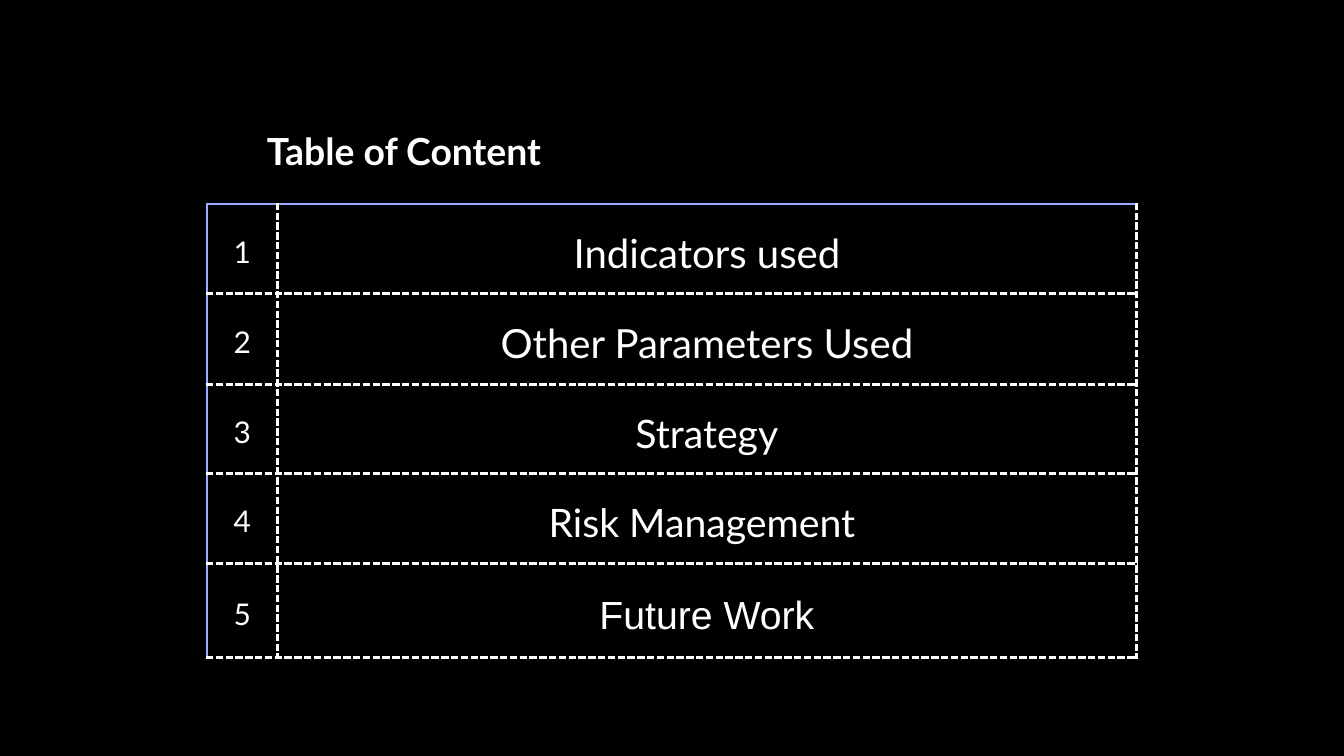
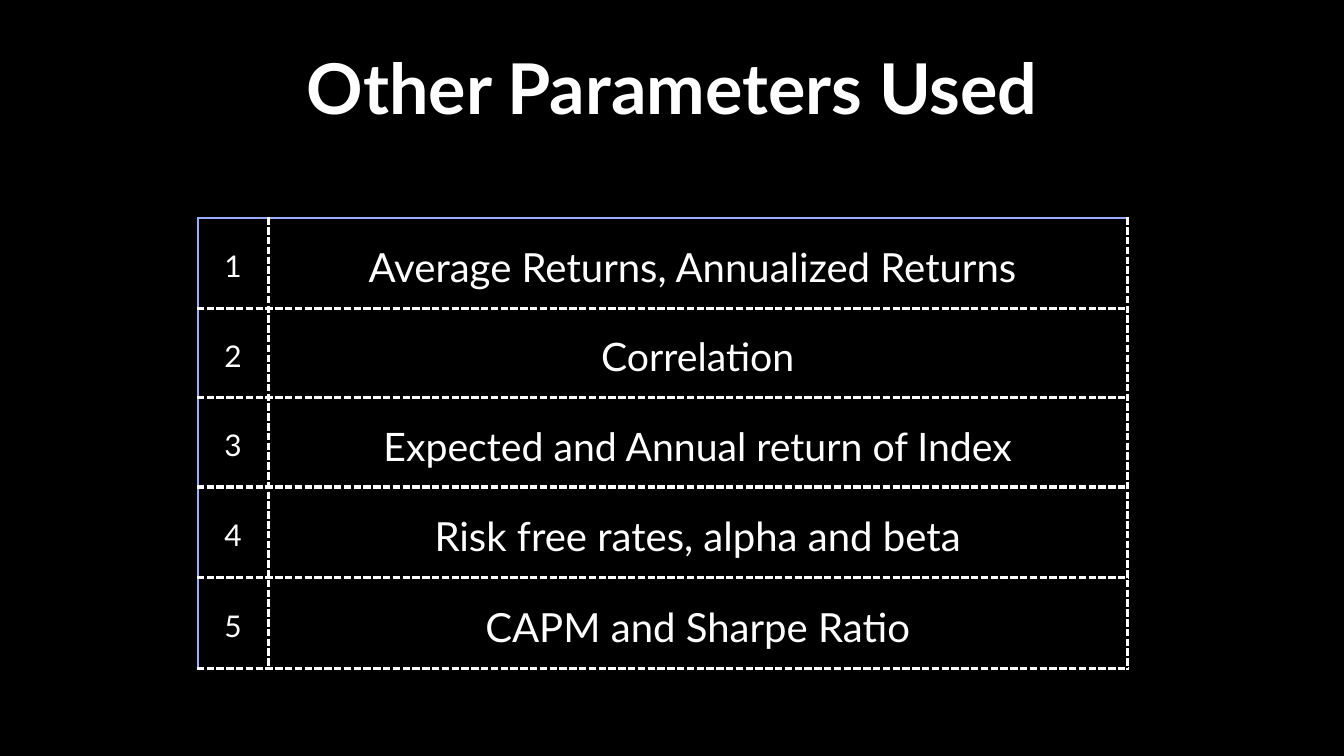
from dataclasses import dataclass

import pptx
import pptx.dml.color
import pptx.enum.text
import pptx.oxml
import pptx.oxml.ns
import pptx.presentation
import pptx.slide
import pptx.table
import pptx.text.text
import pptx.util
from pptx.util import Cm


@dataclass(frozen=True)
class Rule:
    colour: str
    width: float
    dash: str


@dataclass(frozen=True)
class Theme:
    background: str = "000000"
    ink: str = "FFFFFF"
    font: str = "Lato"
    number_size: int = 32
    topic_size: int = 42
    large_topic_size: int = 43
    contents_title_size: int = 40
    section_title_size: int = 75
    title_leading: float = 1.2
    cell_leading: float = 1.4
    outer_rule: Rule = Rule("99ACFF", 2.25, "solid")
    inner_rule: Rule = Rule("FFFFFF", 3.75, "sysDash")


THEME = Theme()
COLUMN_WIDTHS = (Cm(2.67), Cm(32.46))
CELL_INSET = Cm(0.53)


@dataclass(frozen=True)
class Title:
    text: str
    left: float
    top: float
    width: float
    height: float
    size: int


@dataclass(frozen=True)
class Topic:
    text: str
    height: float
    size: int = THEME.topic_size
    font: str = THEME.font


@dataclass(frozen=True)
class Agenda:
    title: Title
    left: float
    top: float
    topics: tuple[Topic, ...]


LARGE = THEME.large_topic_size
AGENDAS = (
    Agenda(
        Title("Table of Content", 9.25, 4.85, 12.04, 1.68, THEME.contents_title_size),
        7.82, 7.7,
        (
            Topic("Indicators used", 3.4, LARGE),
            Topic("Other Parameters Used", 3.43, LARGE),
            Topic("Strategy", 3.38),
            Topic("Risk Management ", 3.38),
            Topic("Future Work", 3.58, font="Arial"),
        ),
    ),
    Agenda(
        Title("Other Parameters Used", 9.58, 1.7, 31.65, 3.18, THEME.section_title_size),
        7.47, 8.25,
        (
            Topic("Average Returns, Annualized Returns ", 3.4, LARGE),
            Topic("Correlation", 3.38),
            Topic("Expected and Annual return of Index", 3.38),
            Topic("Risk free rates, alpha and beta", 3.43, LARGE),
            Topic("CAPM and Sharpe Ratio", 3.43, LARGE),
        ),
    ),
)


def write_centred(frame: pptx.text.text.TextFrame, text: str, size: int,
                  leading: float, font: str = THEME.font, bold: bool = False) -> None:
    paragraph = frame.paragraphs[0]
    paragraph.alignment = pptx.enum.text.PP_ALIGN.CENTER
    paragraph.line_spacing = pptx.util.Pt(round(size * leading, 1))
    run = paragraph.add_run()
    run.text = text
    run_format = {"name": font, "size": pptx.util.Pt(size), "bold": bold}
    for attribute, value in run_format.items():
        setattr(run.font, attribute, value)
    run.font.color.rgb = pptx.dml.color.RGBColor.from_string(THEME.ink)


def add_title(slide: pptx.slide.Slide, title: Title) -> None:
    box = slide.shapes.add_textbox(
        Cm(title.left), Cm(title.top), Cm(title.width), Cm(title.height))
    frame_format = {
        "word_wrap": True,
        "auto_size": pptx.enum.text.MSO_AUTO_SIZE.SHAPE_TO_FIT_TEXT,
        "margin_left": 0, "margin_top": 0, "margin_right": 0, "margin_bottom": 0,
    }
    for attribute, value in frame_format.items():
        setattr(box.text_frame, attribute, value)
    write_centred(box.text_frame, title.text, title.size, THEME.title_leading, bold=True)


def rule_cell(cell: pptx.table._Cell, row: int, column: int) -> None:
    """Border the cell: outer rule on the table's left and top, inner rule elsewhere."""
    rules = {
        "lnL": THEME.inner_rule if column else THEME.outer_rule,
        "lnR": THEME.inner_rule,
        "lnT": THEME.inner_rule if row else THEME.outer_rule,
        "lnB": THEME.inner_rule,
    }
    properties = cell._tc.get_or_add_tcPr()
    for position, (side, rule) in enumerate(rules.items()):
        properties.insert(position, pptx.oxml.parse_xml(
            f'<a:{side} {pptx.oxml.ns.nsdecls("a")} w="{int(pptx.util.Pt(rule.width))}">'
            f'<a:solidFill><a:srgbClr val="{rule.colour}"/></a:solidFill>'
            f'<a:prstDash val="{rule.dash}"/></a:{side}>'))


def add_topic_table(slide: pptx.slide.Slide, agenda: Agenda) -> None:
    heights = [Cm(topic.height) for topic in agenda.topics]
    table = slide.shapes.add_table(
        len(heights), len(COLUMN_WIDTHS), Cm(agenda.left), Cm(agenda.top),
        sum(COLUMN_WIDTHS), sum(heights)).table
    table.first_row = table.horz_banding = False
    for column, width in zip(table.columns, COLUMN_WIDTHS):
        column.width = width

    cell_format = {
        "vertical_anchor": pptx.enum.text.MSO_ANCHOR.MIDDLE,
        "margin_left": CELL_INSET, "margin_top": CELL_INSET,
        "margin_right": CELL_INSET, "margin_bottom": CELL_INSET,
    }
    for row, (topic, height) in enumerate(zip(agenda.topics, heights)):
        table.rows[row].height = height
        entries = (Topic(str(row + 1), topic.height, THEME.number_size), topic)
        for column, entry in enumerate(entries):
            cell = table.cell(row, column)
            for attribute, value in cell_format.items():
                setattr(cell, attribute, value)
            cell.fill.background()
            rule_cell(cell, row, column)
            write_centred(cell.text_frame, entry.text, entry.size,
                          THEME.cell_leading, entry.font)


def add_agenda_slide(deck: pptx.presentation.Presentation, agenda: Agenda) -> None:
    slide = deck.slides.add_slide(deck.slide_layouts[6])
    backdrop = slide.background.fill
    backdrop.solid()
    backdrop.fore_color.rgb = pptx.dml.color.RGBColor.from_string(THEME.background)
    add_topic_table(slide, agenda)
    add_title(slide, agenda.title)


def main() -> None:
    deck = pptx.Presentation()
    deck.slide_width, deck.slide_height = Cm(50.8), Cm(28.58)
    for agenda in AGENDAS:
        add_agenda_slide(deck, agenda)
    deck.save("out.pptx")


if __name__ == "__main__":
    main()
